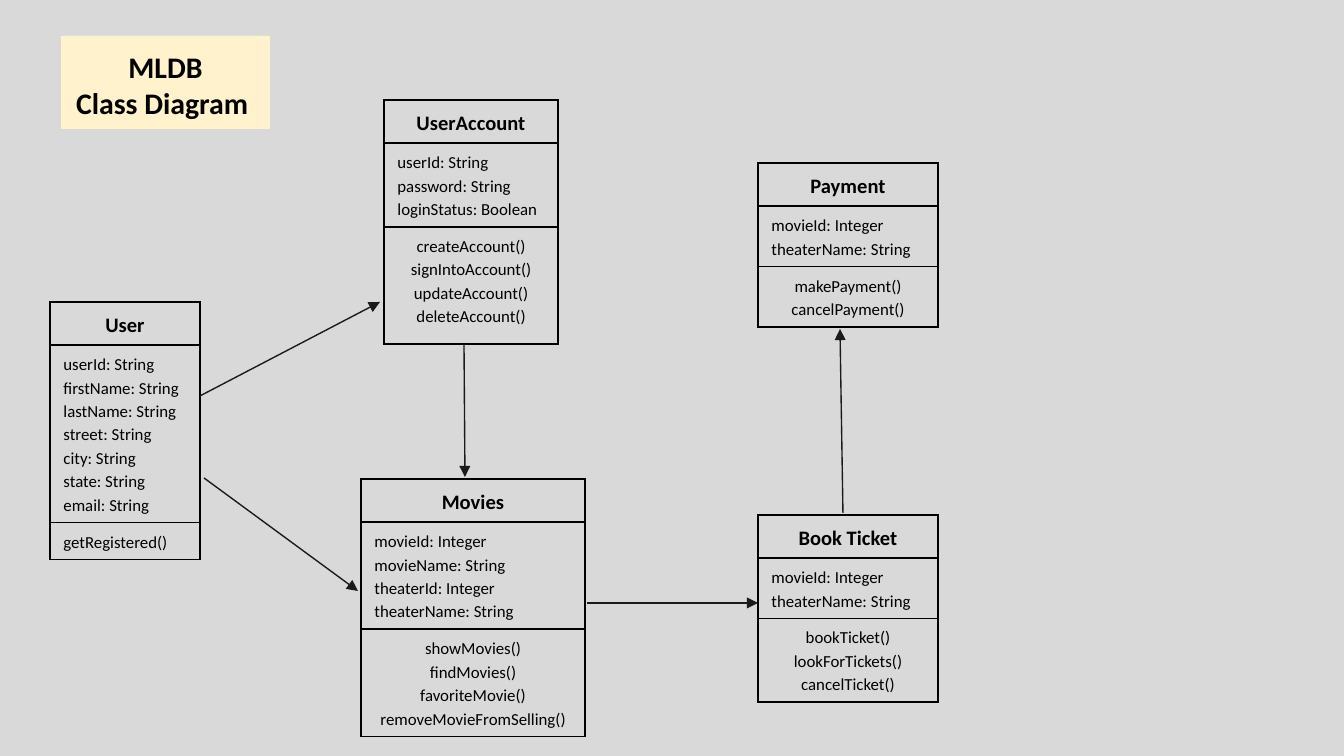
"""Builds the class diagram slide of a movie booking system."""
from lxml.etree import SubElement
from pptx import Presentation
from pptx.dml.color import RGBColor
from pptx.enum.shapes import MSO_CONNECTOR
from pptx.enum.text import MSO_ANCHOR, MSO_AUTO_SIZE, PP_ALIGN
from pptx.oxml.ns import qn
from pptx.util import Pt

BLACK = RGBColor(0x00, 0x00, 0x00)
INK = RGBColor(0x1A, 0x1A, 0x1A)
GREY = RGBColor(0xD9, 0xD9, 0xD9)
CREAM = RGBColor(0xFF, 0xF2, 0xCC)
WIDE, HIGH = 1344, 756
LEFT, MID = PP_ALIGN.LEFT, PP_ALIGN.CENTER


def px(count):
    return round(count * 9144000 / WIDE)


class Board:
    face = "Calibri"
    head = 43

    def __init__(self, deck):
        self.slide = deck.slides.add_slide(deck.slide_layouts[5])
        fill = self.slide.background.fill
        fill.solid()
        fill.fore_color.rgb = GREY

    def label(self, frame, lines, size, bold, align, gap):
        frame.text = "\n".join(lines)
        for para in frame.paragraphs:
            para.alignment = align
            para.line_spacing = gap
            font = para.font
            font.name, font.size, font.bold = self.face, Pt(size), bold
            font.color.rgb = BLACK

    def title(self, x, y, w, h, lines):
        shape = self.slide.shapes.title
        shape.left, shape.top, shape.width, shape.height = map(px, (x, y, w, h))
        shape.fill.solid()
        shape.fill.fore_color.rgb = CREAM
        frame = shape.text_frame
        frame.auto_size = MSO_AUTO_SIZE.NONE
        frame.vertical_anchor = MSO_ANCHOR.TOP
        frame.margin_left = frame.margin_right = px(13)
        frame.margin_top = frame.margin_bottom = px(13)
        self.label(frame, lines, 16, True, MID, 1.0)

    def model(self, x, y, w, name, fields, calls, align=MID, foot=0):
        rows = [self.head] + [13 + len(part) * 47 // 2 for part in (fields, calls)]
        rows[2] = max(rows[2], foot)
        shape = self.slide.shapes.add_table(3, 1, *map(px, (x, y, w, sum(rows))))
        table = shape.table
        table.first_row = table.horz_banding = False
        for props in shape.element.iter(qn("a:tcPr")):
            for side in "LRTB":
                edge = SubElement(props, qn("a:ln" + side), w=str(Pt(1)))
                paint = SubElement(edge, qn("a:solidFill"))
                SubElement(paint, qn("a:srgbClr"), val=str(BLACK))
        parts = [([name], 11, True, MID), (fields, 9, False, LEFT), (calls, 9, False, align)]
        for i, (lines, size, bold, side) in enumerate(parts):
            table.rows[i].height = px(rows[i])
            cell = table.cell(i, 0)
            cell.fill.background()
            self.label(cell.text_frame, lines, size, bold, side, 1.15)

    def arrow(self, *ends):
        line = self.slide.shapes.add_connector(MSO_CONNECTOR.STRAIGHT, *map(px, ends))
        line.line.color.rgb = INK
        line.line.width = Pt(0.75)
        props = line.element.spPr
        SubElement(props.find(qn("a:ln")), qn("a:tailEnd"), type="triangle")
        SubElement(props, qn("a:effectLst"))


def main():
    deck = Presentation()
    deck.slide_width, deck.slide_height = px(WIDE), px(HIGH)
    board = Board(deck)
    ticket = ["movieId: Integer", "theaterName: String"]

    board.title(61, 36, 209, 93, ["MLDB", "Class Diagram "])
    board.model(
        384, 100, 174, "UserAccount",
        ["userId: String", "password: String", "loginStatus: Boolean"],
        ["createAccount()", "signIntoAccount()", "updateAccount()", "deleteAccount()"],
        foot=117)
    board.model(
        361, 479, 224, "Movies",
        ["movieId: Integer", "movieName: String", "theaterId: Integer", "theaterName: String"],
        ["showMovies()", "findMovies()", "favoriteMovie()", "removeMovieFromSelling()"])
    board.model(
        50, 302, 150, "User",
        ["userId: String", "firstName: String", "lastName: String", "street: String",
         "city: String", "state: String", "email: String"],
        ["getRegistered()"], align=LEFT)
    board.model(758, 515, 180, "Book Ticket", ticket,
                ["bookTicket()", "lookForTickets()", "cancelTicket()"])
    board.model(758, 163, 180, "Payment", ticket,
                ["makePayment()", "cancelPayment()"])

    for ends in [(464, 344, 465, 477), (200, 396, 380, 302), (204, 478, 358, 591),
                 (587, 603, 758, 603), (843, 513, 840, 329)]:
        board.arrow(*ends)
    deck.save("out.pptx")


if __name__ == "__main__":
    main()
